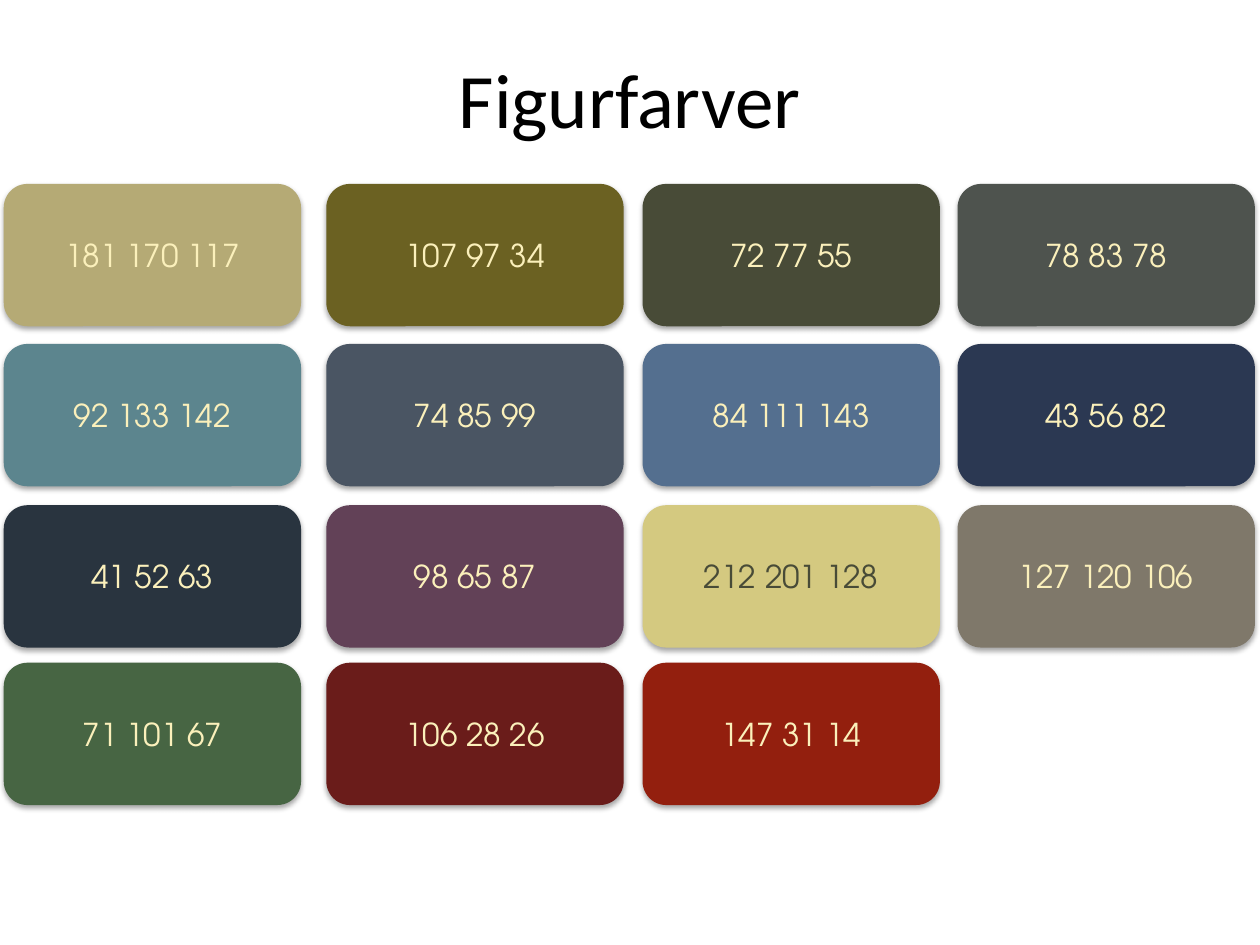
"""Build the slide of figure colours: a title over a grid of RGB swatches."""
from lxml import etree
from pptx import Presentation
from pptx import util as u
from pptx.dml.color import RGBColor
from pptx.enum import shapes, text

TITLE = "Figurfarver"
ROWS = [
    ["181 170 117", "107 97 34", "72 77 55", "78 83 78"],
    ["92 133 142", "74 85 99", "84 111 143", "43 56 82"],
    ["41 52 63", "98 65 87", "212 201 128", "127 120 106"],
    ["71 101 67", "106 28 26", "147 31 14"],
]
COLORS = {
    "title": "000000", "light": "FBF0BB", "dark": "484B37", "shadow": "000000",
    "181 170 117": "B5AA75", "107 97 34": "6B6122",
    "72 77 55": "484B37", "78 83 78": "4E534E",
    "92 133 142": "5C858E", "74 85 99": "4A5563",
    "84 111 143": "546F8F", "43 56 82": "2B3852",
    "41 52 63": "29343F", "98 65 87": "624157",
    "212 201 128": "D4C980", "127 120 106": "7F786A",
    "71 101 67": "476543", "106 28 26": "6A1C1A", "147 31 14": "931F0E",
}
DARK_TEXT = {"212 201 128"}
LEFTS = [0.03, 2.59, 5.1, 7.6]
TOPS = [1.46, 2.73, 4.01, 5.26]
WIDTH, HEIGHT = 2.36, 1.13
A = "http://schemas.openxmlformats.org/drawingml/2006/main"


def write(sp, words, *, size, font, color):
    tf = sp.text_frame
    tf.word_wrap = True
    tf.vertical_anchor = text.MSO_ANCHOR.MIDDLE
    p = tf.paragraphs[0]
    p.alignment = text.PP_ALIGN.CENTER
    r = p.add_run()
    r.text = words
    r.font.size = u.Pt(size)
    r.font.name = font
    r.font.color.rgb = RGBColor.from_string(COLORS[color])


def add_shadow(sp):
    sp.shadow.inherit = False
    effects = sp._element.spPr.find(f"{{{A}}}effectLst")
    shadow = etree.SubElement(
        effects, f"{{{A}}}outerShdw", blurRad=str(int(u.Pt(3.1))),
        dist=str(int(u.Pt(1.8))), dir="5400000", rotWithShape="0")
    color = etree.SubElement(shadow, f"{{{A}}}srgbClr", val=COLORS["shadow"])
    etree.SubElement(color, f"{{{A}}}alpha", val="35000")


def add_swatch(s, label, left, top):
    sp = s.shapes.add_shape(
        shapes.MSO_SHAPE.ROUNDED_RECTANGLE,
        *map(u.Inches, (left, top, WIDTH, HEIGHT)))
    sp.fill.solid()
    sp.fill.fore_color.rgb = RGBColor.from_string(COLORS[label])
    sp.line.fill.background()
    add_shadow(sp)
    write(sp, label, size=18, font="TeX Gyre Adventor",
          color="dark" if label in DARK_TEXT else "light")


prs = Presentation()
prs.slide_width, prs.slide_height = u.Inches(10), u.Inches(7.5)
s = prs.slides.add_slide(prs.slide_layouts[6])
title = s.shapes.add_textbox(*map(u.Inches, (0.5, 0.15, 9, 1.25)))
write(title, TITLE, size=44, font="Calibri", color="title")
for top, row in zip(TOPS, ROWS):
    for left, label in zip(LEFTS, row):
        add_swatch(s, label, left, top)
prs.save("out.pptx")
